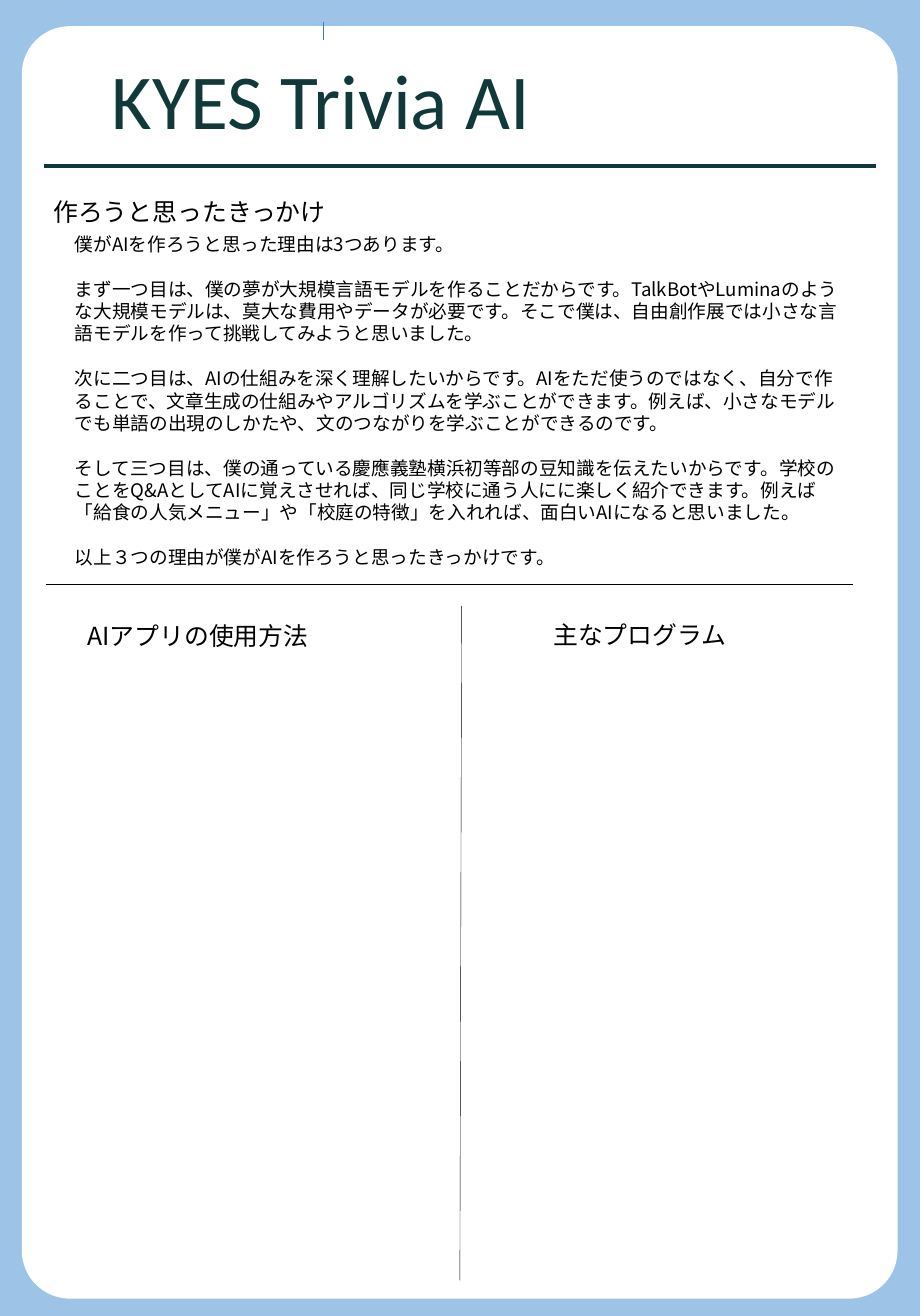
from dataclasses import dataclass

from lxml.etree import SubElement
from pptx import Presentation
from pptx.dml.color import RGBColor
from pptx.enum.shapes import MSO_CONNECTOR as Connector, MSO_SHAPE as Preset
from pptx.enum.text import MSO_ANCHOR as Anchor, MSO_AUTO_SIZE as AutoSize, PP_ALIGN as Align
from pptx.oxml.ns import qn
from pptx.util import Cm, Pt

COLOURS = {
    "frame": "9DC3E6", "paper": "FFFFFF", "title": "113939",
    "rule": "103838", "tick": "4472C4", "ink": "000000",
}
WIDTH, HEIGHT = 41.81, 59.79
LATIN, JAPANESE = "Calibri", "Noto Sans CJK JP"
LINE_PITCH = 28.8

REASONS = [
    "僕がAIを作ろうと思った理由は3つあります。",
    "まず一つ目は、僕の夢が大規模言語モデルを作ることだからです。TalkBotやLuminaのような大規模モデルは、莫大な費用やデータが必要です。そこで僕は、自由創作展では小さな言語モデルを作って挑戦してみようと思いました。",
    "次に二つ目は、AIの仕組みを深く理解したいからです。AIをただ使うのではなく、自分で作ることで、文章生成の仕組みやアルゴリズムを学ぶことができます。例えば、小さなモデルでも単語の出現のしかたや、文のつながりを学ぶことができるのです。",
    "そして三つ目は、僕の通っている慶應義塾横浜初等部の豆知識を伝えたいからです。学校のことをQ&AとしてAIに覚えさせれば、同じ学校に通う人にに楽しく紹介できます。例えば「給食の人気メニュー」や「校庭の特徴」を入れれば、面白いAIになると思いました。",
    "以上３つの理由が僕がAIを作ろうと思ったきっかけです。",
]


@dataclass
class Panel:
    preset: Preset
    left: float
    top: float
    width: float
    height: float
    colour: str


@dataclass
class Rule:
    start: tuple[float, float]
    end: tuple[float, float]
    colour: str
    weight: float


@dataclass
class Heading:
    text: str
    left: float
    top: float


PANELS = [
    Panel(Preset.RECTANGLE, 0, 0, WIDTH, HEIGHT, "frame"),
    Panel(Preset.ROUNDED_RECTANGLE, 0.99, 1.19, 39.8, 57.81, "paper"),
]
RULES = [
    Rule((1.98, 7.54), (39.83, 7.54), "rule", 6),
    Rule((14.71, 1.83), (14.71, 0.99), "tick", 0.5),
    Rule((2.08, 26.54), (38.76, 26.54), "ink", 0.5),
    Rule((20.98, 27.53), (20.9, 58.17), "ink", 0.5),
]
HEADINGS = [
    Heading("作ろうと思ったきっかけ", 0.51, 8.31),
    Heading("AIアプリの使用方法", 0.89, 27.56),
    Heading("主なプログラム", 20.98, 27.53),
]


def colour_of(name: str) -> RGBColor:
    return RGBColor.from_string(COLOURS[name])


def apply(target, values: dict) -> None:
    for name, value in values.items():
        setattr(target, name, value)


def place(shape, left: float, top: float, width: float, height: float) -> None:
    apply(shape, {"left": Cm(left), "top": Cm(top), "width": Cm(width), "height": Cm(height)})


def write(shape, texts: list[str], size: float, typeface: str, colour: str,
          paragraph_format: dict, gap: float = 0) -> None:
    frame = shape.text_frame
    apply(frame, {"word_wrap": True, "auto_size": AutoSize.NONE, "vertical_anchor": Anchor.MIDDLE})
    for index, text in enumerate(texts):
        paragraph = frame.add_paragraph() if index else frame.paragraphs[0]
        properties = paragraph._p.get_or_add_pPr()
        apply(paragraph, {**paragraph_format, "space_before": Pt(gap if index else 0)})
        properties.set("marL", "0")
        properties.set("indent", "0")
        SubElement(properties, qn("a:buNone"))
        run = paragraph.add_run()
        run.text = text
        apply(run.font, {"size": Pt(size), "name": typeface})
        run.font.color.rgb = colour_of(colour)
        SubElement(run.font._element, qn("a:ea"), typeface=typeface)


def draw_panel(slide, panel: Panel) -> None:
    shape = slide.shapes.add_shape(
        panel.preset, Cm(panel.left), Cm(panel.top), Cm(panel.width), Cm(panel.height))
    shape.shadow.inherit = False
    shape.fill.solid()
    shape.fill.fore_color.rgb = colour_of(panel.colour)
    shape.line.fill.background()
    if panel.preset == Preset.ROUNDED_RECTANGLE:
        shape.adjustments[0] = 0.055


def draw_rule(slide, rule: Rule) -> None:
    connector = slide.shapes.add_connector(
        Connector.STRAIGHT, *(Cm(length) for length in rule.start + rule.end))
    connector.line.color.rgb = colour_of(rule.colour)
    connector.line.width = Pt(rule.weight)
    SubElement(connector._element.spPr, qn("a:effectLst"))


def draw_heading(slide, heading: Heading) -> None:
    box = slide.shapes.add_textbox(Cm(heading.left), Cm(heading.top), Cm(16.21), Cm(2.64))
    write(box, [heading.text], 32, JAPANESE, "ink", {"alignment": Align.CENTER})


def main() -> None:
    presentation = Presentation()
    apply(presentation, {"slide_width": Cm(WIDTH), "slide_height": Cm(HEIGHT)})
    slide = presentation.slides.add_slide(presentation.slide_layouts[1])
    title, body = slide.placeholders

    for panel in PANELS:
        draw_panel(slide, panel)

    for placeholder in (title, body):
        slide.shapes._spTree.append(placeholder._element)
    place(title, 1.45, 2.01, 26.29, 4.93)
    title.fill.solid()
    title.fill.fore_color.rgb = colour_of("paper")
    write(title, ["KYES Trivia AI"], 100, LATIN, "title", {"alignment": Align.CENTER})
    place(body, 3.15, 7.19, 35.66, 22.02)
    write(body, REASONS, 24, JAPANESE, "ink",
          {"alignment": Align.LEFT, "line_spacing": Pt(LINE_PITCH)}, LINE_PITCH)

    for rule in RULES:
        draw_rule(slide, rule)
    for heading in HEADINGS:
        draw_heading(slide, heading)

    presentation.save("out.pptx")


if __name__ == "__main__":
    main()
